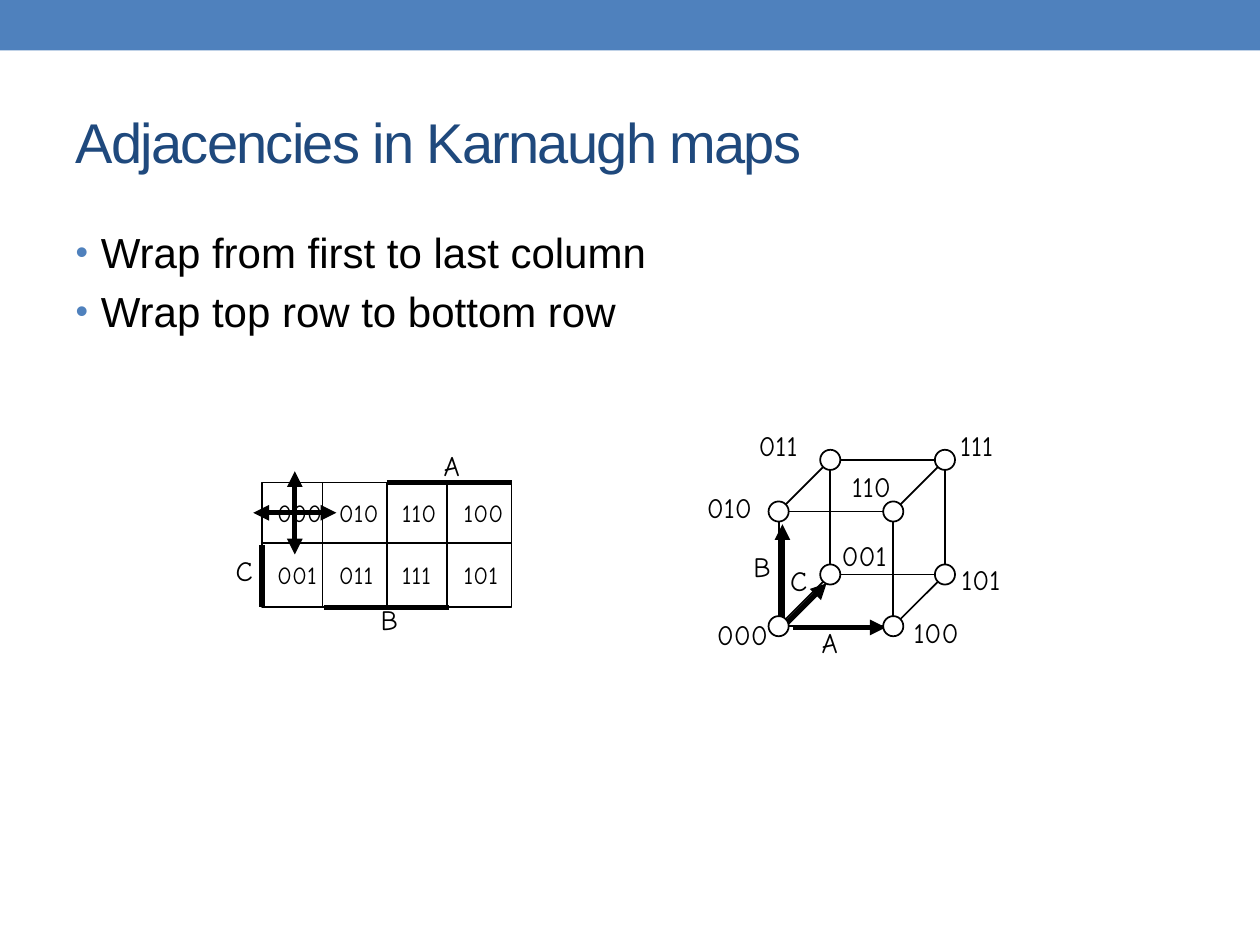
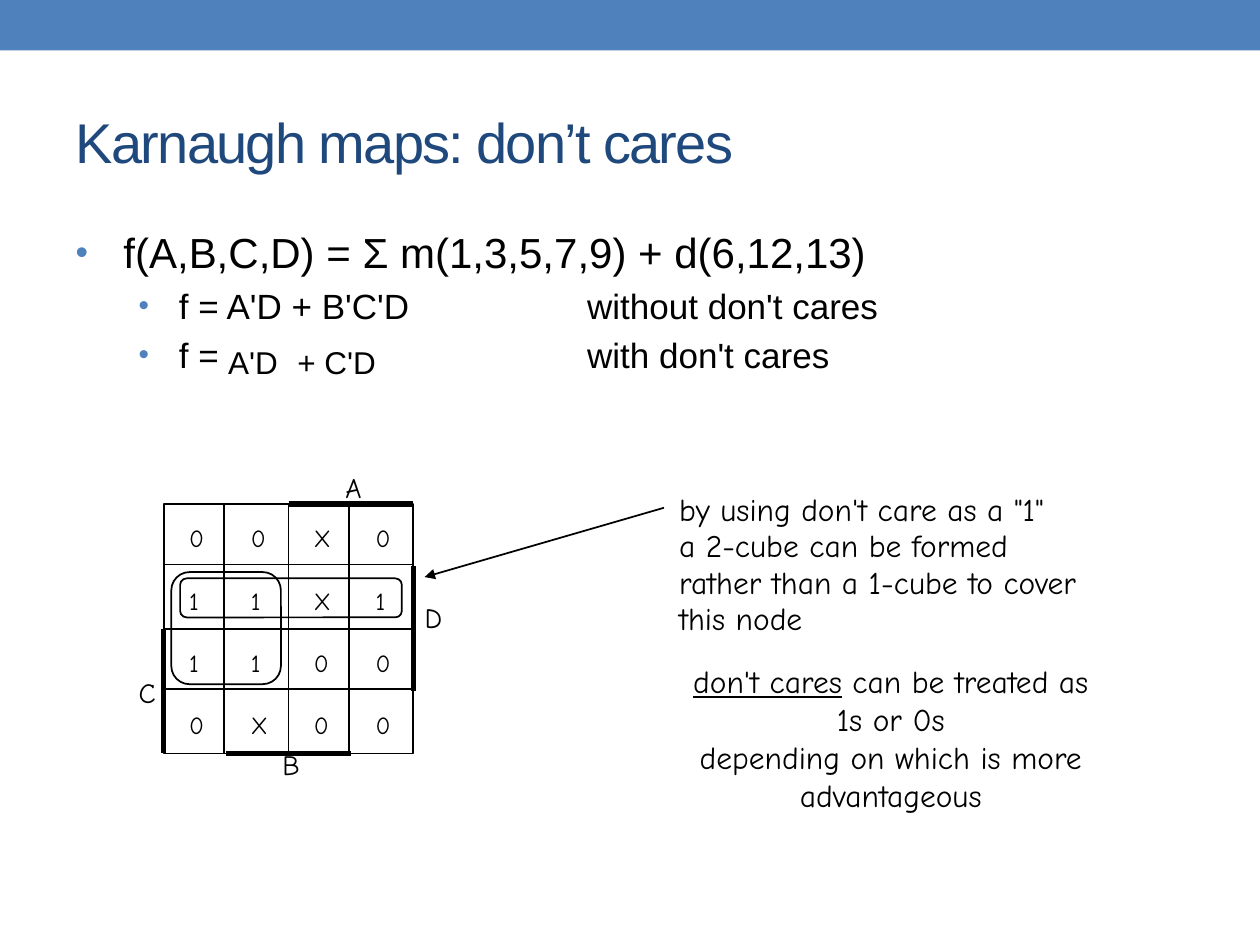
from itertools import combinations

from lxml import etree
from pptx import Presentation
from pptx.dml.color import RGBColor
from pptx.enum.shapes import MSO_CONNECTOR, MSO_SHAPE
from pptx.enum.text import MSO_ANCHOR, PP_ALIGN
from pptx.oxml.ns import qn
from pptx.util import Inches, Pt

STRAIGHT = MSO_CONNECTOR.STRAIGHT
RECT, ROUNDED, OVAL = MSO_SHAPE.RECTANGLE, MSO_SHAPE.ROUNDED_RECTANGLE, MSO_SHAPE.OVAL
LEFT, CENTER, MIDDLE = PP_ALIGN.LEFT, PP_ALIGN.CENTER, MSO_ANCHOR.MIDDLE

BLUE = RGBColor(0x4F, 0x81, 0xBD)
NAVY = RGBColor(0x1F, 0x49, 0x7D)
BLACK = RGBColor(0, 0, 0)
WHITE = RGBColor(255, 255, 255)
SANS, COMIC = "Arial", "Comic Neue"
THIN, THICK = 1, 3
CELL = 0.495          # width of a map cell
DIVIDER = 0.48        # divider position inside a two-by-two block

# Content: bullets are (text, level, size, left margin, hanging indent)
ADJACENCY_BULLETS = [
    ("Wrap from first to last column", 0, 24, 0.2, 0.2),
    ("Wrap top row to bottom row", 0, 24, 0.2, 0.2),
]
DONT_CARE_BULLETS = [
    ("f(A,B,C,D) = Σ m(1,3,5,7,9) + d(6,12,13)", 0, 24, 0.38, 0.38),
    ("f = A'D + B'C'D\t\twithout don't cares", 1, 20, 0.82, 0.32),
    ("f = \t\t\twith don't cares", 1, 20, 0.82, 0.32),
]
BULLET_TABS = (2.06, 3.06, 4.06)

# Maps: bars run between grid points (column, row); labels hold left, top
ADJACENCY_MAP = {
    "origin": (2.08, 3.83),
    "text_offset": (0.1, 0.08),
    "cells": [["000", "010", "110", "100"],
              ["001", "011", "111", "101"]],
    "bars": [((2, 0), (4, 0)), ((1, 2), (3, 2)), ((0, 1), (0, 2))],
    "labels": {"A": (3.5, 3.58), "B": (3, 4.8), "C": (1.85, 4.41)},
}
DONT_CARE_MAP = {
    "origin": (1.3, 4),
    "text_offset": (0.18, 0.11),
    "cells": [["0", "0", "X", "0"],
              ["1", "1", "X", "1"],
              ["1", "1", "0", "0"],
              ["0", "X", "0", "0"]],
    "bars": [((2, 0), (4, 0)), ((4, 1), (4, 3)), ((1, 4), (3, 4)), ((0, 2), (0, 4))],
    "labels": {"A": (2.72, 3.75), "B": (2.22, 5.95), "C": (1.08, 5.38), "D": (3.35, 4.78)},
}
WRAP_CENTER, WRAP_REACH = (2.34, 4.07), 0.33
IMPLICANTS = [(1.36, 4.54, 0.87, 0.89), (1.43, 4.59, 1.76, 0.31)]

# Cube: one step per variable, and the label place of each node
CUBE_ORIGIN = (6.18, 4.97)
CUBE_STEPS = [(0.91, 0), (0, -0.91), (0.41, -0.41)]
NODE_SIZE = 0.16
NODE_LABELS = {
    "000": (5.67, 4.92), "001": (6.66, 4.29), "010": (5.59, 3.91), "011": (6, 3.42),
    "100": (7.23, 4.9), "101": (7.61, 4.48), "110": (6.74, 3.74), "111": (7.6, 3.42),
}
AXIS_LABELS = {"A": (6.5, 4.98), "B": (5.96, 4.38), "C": (6.25, 4.49)}
AXIS_ARROWS = [((6.29, 4.98), (7.03, 4.98)), ((6.21, 4.9), (6.21, 4.16)),
               ((6.21, 4.98), (6.56, 4.63))]

CUBE_NOTE = ("by using don't care as a \"1\"\na 2-cube can be formed\n"
             "rather than a 1-cube to cover\nthis node")
TREATMENT_NOTE = [("don't cares", True),
                  (" can be treated as\n1s or 0s\ndepending on which is more\nadvantageous", False)]


def add_xml(parent, tag, **attributes):
    return etree.SubElement(parent, qn(tag), attributes)


def write(paragraph, text, size=16, font=COMIC, color=BLACK, align=LEFT, line=None,
          before=None, after=None, tabs=(), tracking=None):
    """Fill a paragraph; text is a string or a list of (text, underlined)."""
    paragraph.alignment = align
    if line:
        paragraph.line_spacing = Pt(line)
    if before:
        paragraph.space_before = Pt(before)
    if after:
        paragraph.space_after = Pt(after)
    if tabs:
        stops = add_xml(paragraph._p.get_or_add_pPr(), "a:tabLst")
        for stop in tabs:
            add_xml(stops, "a:tab", pos=str(Inches(stop)), algn="l")
    for part, underlined in ([(text, False)] if isinstance(text, str) else text):
        for number, words in enumerate(part.split("\n")):
            if number:
                paragraph.add_line_break()
            run = paragraph.add_run()
            run.text = words
            run.font.size, run.font.name = Pt(size), font
            run.font.color.rgb = color
            if underlined:
                run.font.underline = True
            if tracking:
                run._r.get_or_add_rPr().set("spc", str(tracking))


def add_text(slide, box, paragraphs, gap=None, **style):
    frame = slide.shapes.add_textbox(*map(Inches, box)).text_frame
    frame.word_wrap = False
    frame.margin_left = frame.margin_right = Inches(0.02)
    frame.margin_top = frame.margin_bottom = Inches(0.03)
    write(frame.paragraphs[0], paragraphs[0], **style)
    for text in paragraphs[1:]:
        write(frame.add_paragraph(), text, before=gap, **style)


def add_labels(slide, labels):
    for text, place in labels.items():
        add_text(slide, (*place, 0.78, 0.36), [text], line=15.8)


def add_line(slide, start, end, width=THIN, arrow=False):
    connector = slide.shapes.add_connector(STRAIGHT, *map(Inches, (*start, *end)))
    connector.line.color.rgb = BLACK
    connector.line.width = Pt(width)
    if arrow:
        add_xml(connector.line._get_or_add_ln(), "a:tailEnd", type="triangle")
    add_xml(connector._element.spPr, "a:effectLst")


def add_shape(slide, kind, box, fill=None, outlined=True):
    shape = slide.shapes.add_shape(kind, *map(Inches, box))
    shape.shadow.inherit = False
    if fill is None:
        shape.fill.background()
    else:
        shape.fill.solid()
        shape.fill.fore_color.rgb = fill
    if outlined:
        shape.line.color.rgb = BLACK
        shape.line.width = Pt(THIN)
    else:
        shape.line.fill.background()


def start_slide(deck, heading, bullets):
    """Blue band, title and bullet list."""
    slide = deck.slides.add_slide(deck.slide_layouts[1])
    add_shape(slide, RECT, (0, 0, 10, 0.4), BLUE, outlined=False)
    title, body = slide.placeholders
    for holder, box in ((title, (0.5, 0.58, 9, 1.08)), (body, (0.5, 1.75, 9, 5.33))):
        holder.left, holder.top, holder.width, holder.height = map(Inches, box)
    title.text_frame.vertical_anchor = MIDDLE
    write(title.text_frame.paragraphs[0], heading, size=32, font=SANS, color=NAVY, tracking=-100)
    for number, (text, level, size, margin, hanging) in enumerate(bullets):
        frame = body.text_frame
        paragraph = frame.add_paragraph() if number else frame.paragraphs[0]
        paragraph.level = level
        properties = paragraph._p.get_or_add_pPr()
        properties.set("marL", str(Inches(margin)))
        properties.set("indent", str(-Inches(hanging)))
        add_xml(add_xml(properties, "a:buClr"), "a:srgbClr", val=str(BLUE))
        add_xml(properties, "a:buSzPct", val="85000")
        add_xml(properties, "a:buFont", typeface=SANS)
        add_xml(properties, "a:buChar", char="•")
        write(paragraph, text, size=size, font=SANS, tabs=BULLET_TABS if "\t" in text else ())
    return slide


def draw_map(slide, origin, text_offset, cells, bars, labels):
    """Karnaugh map made of two-by-two blocks."""
    def grid_point(column, row):
        return origin[0] + column * CELL, origin[1] + row * CELL

    side = 2 * CELL
    for row in range(0, len(cells), 2):
        for column in range(0, len(cells[0]), 2):
            x, y = grid_point(column, row)
            values = ["\t".join(line[column:column + 2]) for line in cells[row:row + 2]]
            add_text(slide, (x + text_offset[0], y + text_offset[1], 0.89, 0.88), values,
                     gap=17.8, size=14, line=17.8, tabs=(0.49,))
            add_shape(slide, RECT, (x, y, side, side))
            add_line(slide, (x + DIVIDER, y), (x + DIVIDER, y + side))
            add_line(slide, (x, y + DIVIDER), (x + side, y + DIVIDER))
    for start, end in bars:
        add_line(slide, grid_point(*start), grid_point(*end), THICK)
    add_labels(slide, labels)


def draw_cube(slide):
    """Three-variable cube: nodes whose codes differ in one bit are joined."""
    nodes = {}
    for code in NODE_LABELS:
        steps = [step for bit, step in zip(code, CUBE_STEPS) if bit == "1"]
        nodes[code] = tuple(CUBE_ORIGIN[axis] + sum(step[axis] for step in steps)
                            for axis in (0, 1))
    for start, end in AXIS_ARROWS:
        add_line(slide, start, end, THICK, arrow=True)
    for one, other in combinations(nodes, 2):
        if sum(a != b for a, b in zip(one, other)) == 1:
            add_line(slide, nodes[one], nodes[other])
    for x, y in nodes.values():
        add_shape(slide, OVAL, (x - NODE_SIZE / 2, y - NODE_SIZE / 2, NODE_SIZE, NODE_SIZE), WHITE)
    add_labels(slide, NODE_LABELS)
    add_labels(slide, AXIS_LABELS)


def build_adjacencies(deck):
    slide = start_slide(deck, "Adjacencies in Karnaugh maps", ADJACENCY_BULLETS)
    draw_map(slide, **ADJACENCY_MAP)
    draw_cube(slide)
    x, y = WRAP_CENTER
    for dx, dy in ((1, 0), (0, 1), (0, -1), (-1, 0)):
        add_line(slide, WRAP_CENTER, (x + dx * WRAP_REACH, y + dy * WRAP_REACH), THICK, arrow=True)


def build_dont_cares(deck):
    slide = start_slide(deck, "Karnaugh maps: don’t cares", DONT_CARE_BULLETS)
    # Terms of the second formula
    add_text(slide, (1.79, 2.69, 0.5, 0.4), ["A'D"], size=18, font=SANS)
    add_text(slide, (2.34, 2.69, 0.9, 0.4), ["+ C'D"], size=18, font=SANS)
    # Map with its two circled groups
    draw_map(slide, **DONT_CARE_MAP)
    for box in IMPLICANTS:
        add_shape(slide, ROUNDED, box)
    # Notes
    add_text(slide, (5.37, 3.87, 3.97, 1.29), [CUBE_NOTE], size=18, line=20.8, before=5.9)
    add_line(slide, (5.27, 4.03), (3.37, 4.58), arrow=True)
    add_text(slide, (5.23, 5.22, 3.68, 1.62), [TREATMENT_NOTE], size=18, line=21.8,
             after=19.8, align=CENTER)


def main():
    deck = Presentation()
    deck.slide_width, deck.slide_height = Inches(10), Inches(7.5)
    build_adjacencies(deck)
    build_dont_cares(deck)
    deck.save("out.pptx")


if __name__ == "__main__":
    main()
